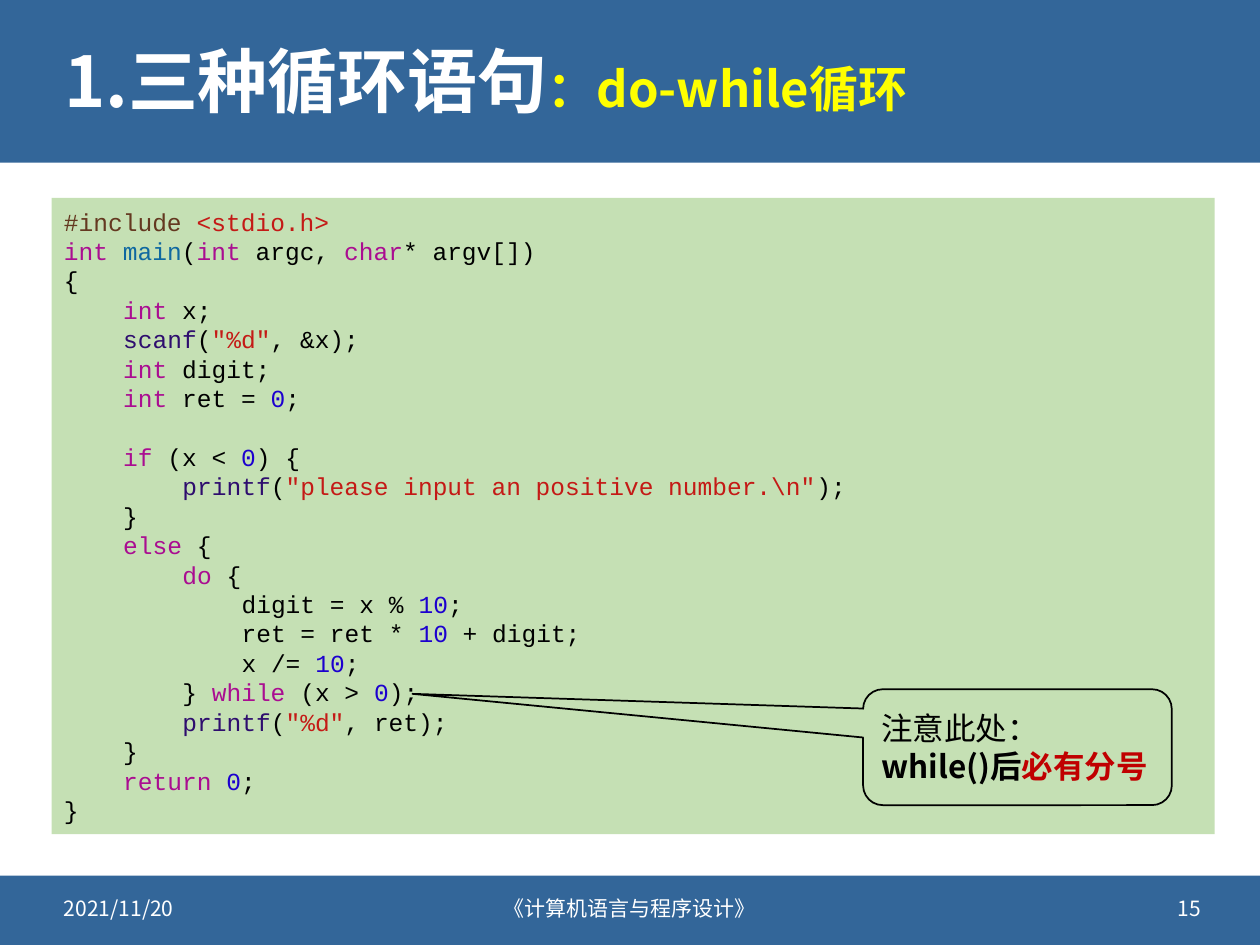
from lxml import etree
from pptx import Presentation
from pptx import util as u
from pptx.dml.color import RGBColor
from pptx.enum import shapes, text
from pptx.oxml.ns import qn

COLORS = {
    "band": "336699", "panel": "C5E0B4", "white": "FFFFFF", "yellow": "FFFF00",
    "black": "000000", "red": "C00000", "directive": "643820", "string": "C41A16",
    "keyword": "AA0D91", "main": "0F68A0", "call": "2E0D6E", "number": "1C00CF",
}
SANS, MONO = "Noto Sans CJK SC", "Courier New"

# Indent level, then code with highlighted tokens between backticks
CODE = [
    (0, "`#include` `<stdio.h>`"),
    (0, "`int` `main`(`int` argc, `char`* argv[])"),
    (0, "{"),
    (1, "`int` x;"),
    (1, '`scanf`(`"%d"`, &x);'),
    (1, "`int` digit;"),
    (1, "`int` ret = `0`;"),
    (1, "`if` (x < `0`) {"),
    (2, '`printf`(`"please input an positive number.\\n"`);'),
    (1, "}"),
    (1, "`else` {"),
    (2, "`do` {"),
    (3, "digit = x % `10`;"),
    (3, "ret = ret * `10` + digit;"),
    (3, "x /= `10`;"),
    (2, "} `while` (x > `0`);"),
    (2, '`printf`(`"%d"`, ret);'),
    (1, "}"),
    (1, "`return` `0`;"),
    (0, "}"),
]
SECTION_START = 7      # a one-line gap stands before this line
LINE_HEIGHT = u.Pt(16.8)
INDENT = u.Inches(0.47)  # four characters of 14 pt code
SPECIAL = {"#include": "directive", "main": "main", "scanf": "call", "printf": "call"}


def token_color(token):
    if token[0] in '"<':
        return "string"
    if token.isdigit():
        return "number"
    return SPECIAL.get(token, "keyword")


def highlight(line):
    return [(t, {"color": token_color(t) if i % 2 else "black"})
            for i, t in enumerate(line.split("`")) if t]


class SlideBuilder:
    def __init__(self, slide):
        self.slide = slide

    def shape(self, kind, box, fill=None, line=None):
        sp = self.slide.shapes.add_shape(kind, *map(u.Inches, box))
        sp.shadow.inherit = False
        if fill:
            sp.fill.solid()
            sp.fill.fore_color.rgb = RGBColor.from_string(COLORS[fill])
        else:
            sp.fill.background()
        if line:
            sp.line.color.rgb = RGBColor.from_string(COLORS[line])
            sp.line.width = u.Pt(1)
        else:
            sp.line.fill.background()
        return sp

    def textbox(self, box, paragraphs, **style):
        sp = self.slide.shapes.add_textbox(*map(u.Inches, box))
        self.add_text(sp, paragraphs, **style)

    def add_text(self, sp, paragraphs, size, font=SANS, anchor="MIDDLE", formats=None):
        tf = sp.text_frame
        tf.word_wrap = True
        tf.vertical_anchor = text.MSO_ANCHOR[anchor]
        for i, runs in enumerate(paragraphs):
            p = tf.paragraphs[0] if i == 0 else tf.add_paragraph()
            for name, value in {"alignment": text.PP_ALIGN.LEFT, **(formats or {})}.items():
                setattr(p, name, value)
            for content, look in runs:
                self.run(p, content, font, {"size": size, **look})
        return tf

    def run(self, p, content, font, look):
        r = p.add_run()
        r.text = content
        values = {"name": font, "size": u.Pt(look["size"]), "bold": look.get("bold", False)}
        for name, value in values.items():
            setattr(r.font, name, value)
        r.font.color.rgb = RGBColor.from_string(COLORS[look["color"]])
        etree.SubElement(r.font._element, qn("a:ea")).set("typeface", font)

    def code(self, box, lines):
        sp = self.shape(shapes.MSO_SHAPE.RECTANGLE, box, "panel")
        tf = self.add_text(sp, [highlight(line) for _, line in lines], size=14, font=MONO,
                           anchor="TOP", formats={"line_spacing": LINE_HEIGHT})
        tf.margin_top = u.Inches(0.07)
        for p, (level, _) in zip(tf.paragraphs, lines):
            p._p.get_or_add_pPr().set("marL", str(level * INDENT))
        tf.paragraphs[SECTION_START].space_before = LINE_HEIGHT

    def callout(self, box, adjustments, paragraphs, size):
        sp = self.shape(shapes.MSO_SHAPE.ROUNDED_RECTANGULAR_CALLOUT, box, line="black")
        for i, value in enumerate(adjustments):
            sp.adjustments[i] = value
        self.add_text(sp, paragraphs, size=size)


def main():
    prs = Presentation()
    prs.slide_width, prs.slide_height = u.Inches(10), u.Inches(7.5)
    s = SlideBuilder(prs.slides.add_slide(prs.slide_layouts[6]))

    # Header and footer bands
    for top, height in ((0, 1.29), (6.95, 0.55)):
        s.shape(shapes.MSO_SHAPE.RECTANGLE, (0, top, 10, height), "band")

    # Title
    s.textbox((0.41, 0.18, 9.19, 0.99), [[
        ("1.三种循环语句", {"color": "white", "bold": True}),
        ("：do-while循环", {"color": "yellow", "bold": True, "size": 28}),
    ]], size=40, formats={"line_spacing": 0.9})

    # Code listing
    s.code((0.41, 1.57, 9.23, 5.05), CODE)

    # Footer: date, course, page number
    for left, width, content, align in (
        (0.41, 2.4, "2021/11/20", "LEFT"),
        (3.2, 3.6, "《计算机语言与程序设计》", "CENTER"),
        (7.23, 2.4, "15", "RIGHT"),
    ):
        s.textbox((left, 7.01, width, 0.4), [[(content, {"color": "white"})]],
                  size=12, formats={"alignment": text.PP_ALIGN[align]})

    # Callout pointing at the semicolon
    s.callout((6.85, 5.47, 2.45, 0.92), (-1.96, -0.46, 0.17), [
        [("注意此处：", {"color": "black"})],
        [("while()后", {"color": "black", "bold": True}),
         ("必有分号", {"color": "red", "bold": True})],
    ], size=18)

    prs.save("out.pptx")


if __name__ == "__main__":
    main()
